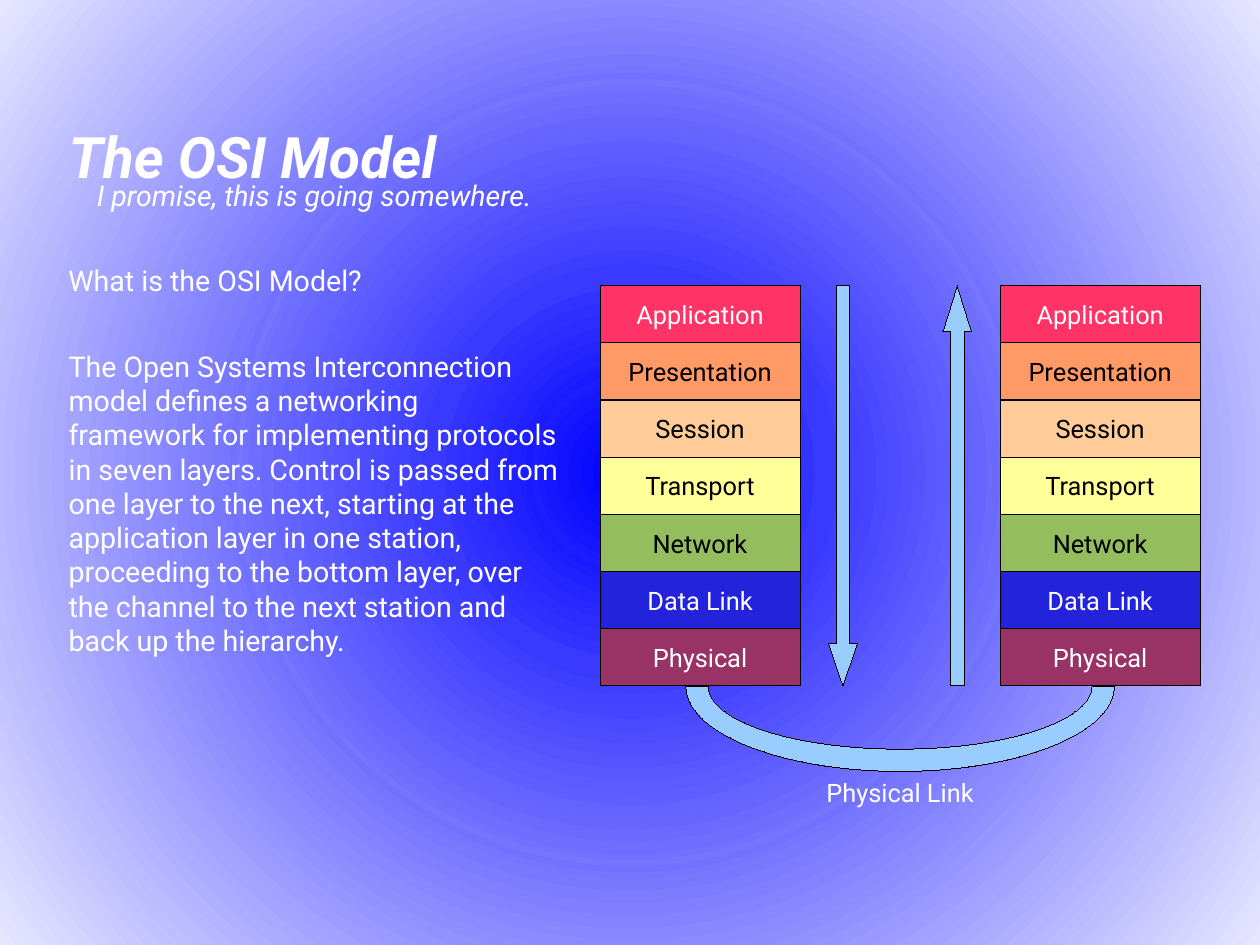
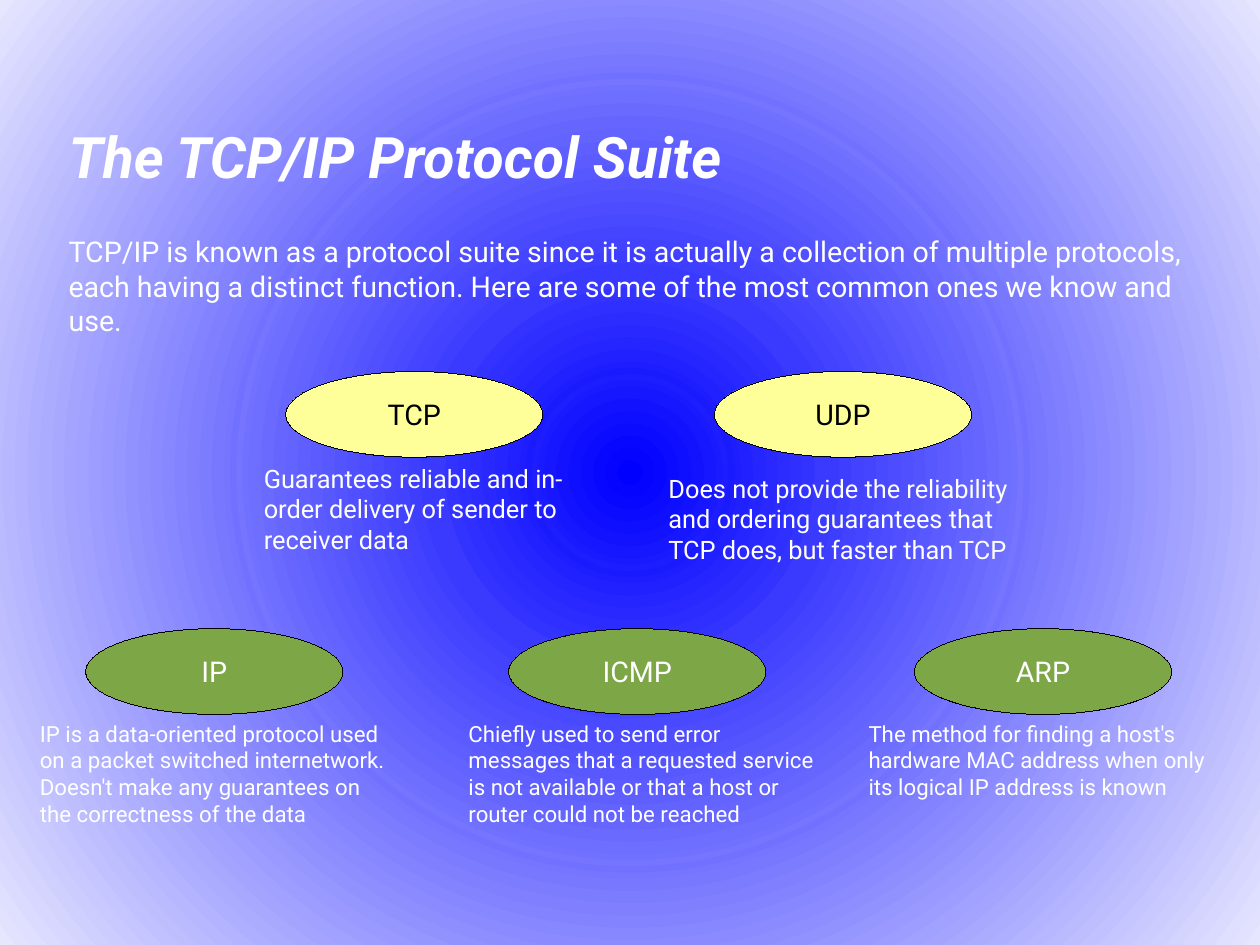
import dataclasses

import pptx
import pptx.dml.color
import pptx.enum.shapes
import pptx.enum.text
import pptx.oxml
import pptx.oxml.ns
import pptx.util

PX = 9144
FORM = pptx.enum.shapes.MSO_SHAPE
ALIGN = pptx.enum.text.PP_ALIGN
ANCHOR = pptx.enum.text.MSO_ANCHOR


@dataclasses.dataclass(frozen=True)
class Theme:
    """Holds the colours, font and type sizes of the deck."""

    font: str = "Roboto"
    white: str = "FFFFFF"
    black: str = "000000"
    sky: str = "99CCFF"
    red: str = "FF3366"
    orange: str = "FF9966"
    peach: str = "FFCC99"
    yellow: str = "FFFF99"
    lime: str = "94BD5E"
    green: str = "7DA647"
    blue: str = "2323DC"
    plum: str = "993366"
    head: int = 36
    body: int = 18
    label: int = 16
    small: int = 14
    steps: int = 64
    edge: int = 230


THEME = Theme()

LAYERS = [
    ("Application", THEME.red, THEME.white),
    ("Presentation", THEME.orange, THEME.black),
    ("Session", THEME.peach, THEME.black),
    ("Transport", THEME.yellow, THEME.black),
    ("Network", THEME.lime, THEME.black),
    ("Data Link", THEME.blue, THEME.white),
    ("Physical", THEME.plum, THEME.white),
]

UPPER = [
    ("TCP", 250, (221, 400, 300, 116),
     "Guarantees reliable and in-order delivery of sender to receiver data"),
    ("UDP", 625, (575, 409, 325, 116),
     "Does not provide the reliability and ordering guarantees that TCP does, "
     "but faster than TCP"),
]

LOWER = [
    ("IP", 75, (25, 625, 325, 135),
     "IP is a data-oriented protocol used on a packet switched internetwork. "
     "Doesn't make any guarantees on the correctness of the data"),
    ("ICMP", 445, (400, 625, 325, 135),
     "Chiefly used to send error messages that a requested service is not "
     "available or that a host or router could not be reached"),
    ("ARP", 800, (750, 625, 325, 103),
     "The method for finding a host's hardware MAC address when only its "
     "logical IP address is known"),
]


def tint(code):
    """Turn a hex code into a colour."""
    return pptx.dml.color.RGBColor.from_string(code)


def scale(box):
    """Turn a box in px into EMU."""
    return [side * PX for side in box]


def place(shape, box):
    """Move a shape to a box."""
    shape.left, shape.top, shape.width, shape.height = scale(box)


def write(shape, text, size, tone=THEME.white, align=ALIGN.LEFT,
          anchor=ANCHOR.TOP, bold=False, slant=False):
    """Write one formatted run into a shape."""
    frame = shape.text_frame
    frame.word_wrap = True
    frame.auto_size = pptx.enum.text.MSO_AUTO_SIZE.NONE
    frame.vertical_anchor = anchor
    para = frame.paragraphs[0]
    para.alignment = align
    para.space_before = pptx.util.Pt(0)
    run = para.add_run()
    run.text = text
    font = run.font
    font.name, font.size = THEME.font, pptx.util.Pt(size)
    font.bold, font.italic = bold, slant
    font.color.rgb = tint(tone)
    return para


def note(slide, box, text, size, **style):
    """Add a text box."""
    write(slide.shapes.add_textbox(*scale(box)), text, size, **style)


def solid(slide, form, box, fill, bends=()):
    """Add a filled shape with a hairline edge."""
    shape = slide.shapes.add_shape(form, *scale(box))
    shape.shadow.inherit = False
    shape.fill.solid()
    shape.fill.fore_color.rgb = tint(fill)
    shape.line.color.rgb = tint(THEME.black)
    shape.element.spPr.find(pptx.oxml.ns.qn("a:ln")).set("w", "0")
    for index, bend in enumerate(bends):
        shape.adjustments[index] = bend
    return shape


def label(slide, form, box, fill, text, size, tone):
    """Add a filled shape with centred text."""
    write(solid(slide, form, box, fill), text, size, tone,
          ALIGN.CENTER, ANCHOR.MIDDLE)


def glow(master):
    """Give the master a stepped round gradient."""
    stops = ""
    for step in range(THEME.steps):
        level = round(step * THEME.edge / (THEME.steps - 1))
        for end in (step, step + 1):
            spot = round(end * 100000 / THEME.steps)
            stops += (f'<a:gs pos="{spot}"><a:srgbClr '
                      f'val="{level:02X}{level:02X}FF"/></a:gs>')
    grad = pptx.oxml.parse_xml(
        f'<a:gradFill {pptx.oxml.ns.nsdecls("a")} rotWithShape="1">'
        f'<a:gsLst>{stops}</a:gsLst><a:path path="circle">'
        '<a:fillToRect l="50000" t="50000" r="50000" b="50000"/>'
        '</a:path></a:gradFill>')
    master.background.fill.solid()
    old = next(master.element.iter(pptx.oxml.ns.qn("a:solidFill")))
    old.getparent().replace(old, grad)


def start(deck, title, wide, text, box):
    """Add a slide with its title and body."""
    slide = deck.slides.add_slide(deck.slide_layouts[1])
    head, body = slide.placeholders
    place(head, (50, 101, wide, 74))
    write(head, title, THEME.head, bold=True, slant=True)
    place(body, box)
    props = write(body, text, THEME.body)._p.get_or_add_pPr()
    props.set("marL", "0")
    props.set("indent", "0")
    props.append(pptx.oxml.parse_xml(
        f'<a:buNone {pptx.oxml.ns.nsdecls("a")}/>'))
    return slide


def stack(slide, box):
    """Stack the seven layers evenly in a box."""
    left, top, wide, high = box
    row = high // len(LAYERS)
    for index, (name, fill, tone) in enumerate(LAYERS):
        label(slide, FORM.RECTANGLE, (left, top + index * row, wide, row),
              fill, name, THEME.label, tone)


def model(slide, box):
    """Draw two stacks, the arrows and the link in a box."""
    left, top, wide, high = box
    pile, tall = 175, 350
    for side in (left, left + wide - pile):
        stack(slide, (side, top, pile, tall))
    solid(slide, FORM.DOWN_ARROW, (left + 200, top, 25, tall),
          THEME.sky, (0.44, 1.47))
    solid(slide, FORM.UP_ARROW, (left + 300, top, 25, tall),
          THEME.sky, (0.5, 1.61))
    link = solid(slide, FORM.BLOCK_ARC, (left + 75, top + 275, 375, 150),
                 THEME.sky, (108.05, 215.95, 0.13))
    link.element.spPr.xfrm.set("flipV", "1")
    note(slide, (left + 125, top + high - 45, 275, 45), "Physical Link",
         THEME.label, align=ALIGN.CENTER)


def suite(slide, top, items, fill, tone, size):
    """Draw a row of protocols with their notes."""
    for name, left, box, text in items:
        label(slide, FORM.OVAL, (left, top, 225, 75), fill, name,
              THEME.body, tone)
        note(slide, box, text, size)


def main():
    """Build and save the deck."""
    deck = pptx.Presentation()
    deck.slide_width = pptx.util.Cm(28)
    deck.slide_height = pptx.util.Cm(21)
    glow(deck.slide_master)

    slide = start(
        deck, "The OSI Model", 400,
        "The Open Systems Interconnection model defines a networking "
        "framework for implementing protocols in seven layers. Control is "
        "passed from one layer to the next, starting at the application "
        "layer in one station, proceeding to the bottom layer, over the "
        "channel to the next station and back up the hierarchy.",
        (50, 300, 450, 400))
    note(slide, (75, 151, 450, 49), "I promise, this is going somewhere.",
         THEME.body, slant=True)
    note(slide, (50, 225, 375, 50), "What is the OSI Model?", THEME.body)
    model(slide, (525, 250, 525, 470))

    slide = start(
        deck, "The TCP/IP Protocol Suite", 650,
        "TCP/IP is known as a protocol suite since it is actually a "
        "collection of multiple protocols, each having a distinct function. "
        "Here are some of the most common ones we know and use.",
        (50, 200, 1000, 130))
    suite(slide, 325, UPPER, THEME.yellow, THEME.black, THEME.label)
    suite(slide, 550, LOWER, THEME.green, THEME.white, THEME.small)

    deck.save("out.pptx")


if __name__ == "__main__":
    main()
